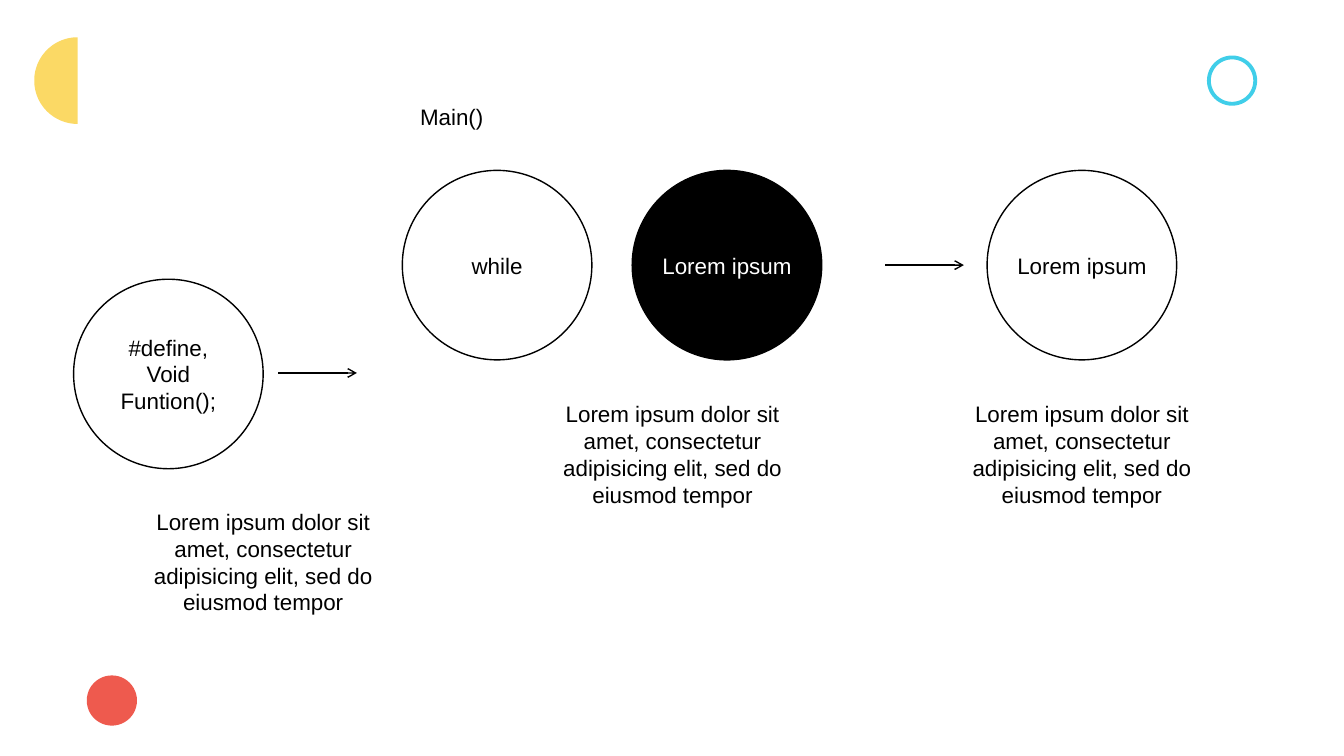
from math import cos, pi, sin

from lxml.etree import SubElement
from pptx import Presentation
from pptx.dml.color import RGBColor
from pptx.enum.shapes import MSO_CONNECTOR, MSO_SHAPE
from pptx.enum.text import MSO_ANCHOR, MSO_AUTO_SIZE, PP_ALIGN
from pptx.oxml.ns import qn
from pptx.util import Inches, Pt

BLACK, WHITE = "000000", "FFFFFF"
YELLOW, RED, CYAN = "FBD965", "EE5A4E", "40CEE9"
LOREM = "Lorem ipsum dolor sit amet, consectetur adipisicing elit, sed do eiusmod tempor"
DIAMETER = 1.88
DOT = 0.46


def rgb(color):
    return RGBColor.from_string(color)


def write(tf, text, font="Arial", size=16, color=BLACK, align=PP_ALIGN.CENTER):
    tf.word_wrap = True
    for i, line in enumerate(text.split("\n")):
        p = tf.paragraphs[0] if i == 0 else tf.add_paragraph()
        p.alignment = align
        r = p.add_run()
        r.text = line
        r.font.name = font
        r.font.size = Pt(size)
        r.font.color.rgb = rgb(color)


class Deck:
    def __init__(self):
        self.prs = Presentation()
        self.prs.slide_width, self.prs.slide_height = Inches(13.33), Inches(7.5)
        self.s = self.prs.slides.add_slide(self.prs.slide_layouts[6])

    def paint(self, sp, fill, line, width):
        sp.shadow.inherit = False
        if fill:
            sp.fill.solid()
            sp.fill.fore_color.rgb = rgb(fill)
        else:
            sp.fill.background()
        if line:
            sp.line.color.rgb = rgb(line)
            sp.line.width = Pt(width)
        else:
            sp.line.fill.background()

    def half_disc(self, x, y, radius, fill, steps=90):
        points = [(Inches(x + radius - radius * sin(pi * i / steps)),
                   Inches(y + radius - radius * cos(pi * i / steps)))
                  for i in range(steps + 1)]
        builder = self.s.shapes.build_freeform(*points[0])
        builder.add_line_segments(points[1:], close=True)
        self.paint(builder.convert_to_shape(), fill, None, 0)

    def circle(self, x, y, size, fill=None, line=BLACK, width=1, text=None, color=BLACK):
        sp = self.s.shapes.add_shape(
            MSO_SHAPE.OVAL, Inches(x), Inches(y), Inches(size), Inches(size))
        self.paint(sp, fill, line, width)
        if text:
            tf = sp.text_frame
            tf.margin_left = tf.margin_right = tf.margin_top = tf.margin_bottom = 0
            tf.vertical_anchor = MSO_ANCHOR.MIDDLE
            write(tf, text, color=color)

    def text(self, x, y, w, h, text):
        tf = self.s.shapes.add_textbox(
            Inches(x), Inches(y), Inches(w), Inches(h)).text_frame
        tf.auto_size = MSO_AUTO_SIZE.SHAPE_TO_FIT_TEXT
        write(tf, text)

    def arrow(self, x, y, length=0.78):
        sp = self.s.shapes.add_connector(
            MSO_CONNECTOR.STRAIGHT, Inches(x), Inches(y), Inches(x + length), Inches(y))
        sp.line.color.rgb = rgb(BLACK)
        sp.line.width = Pt(1)
        SubElement(sp.line._get_or_add_ln(), qn("a:tailEnd"), type="arrow")
        SubElement(sp._element.spPr, qn("a:effectLst"))


def main():
    deck = Deck()
    deck.half_disc(0.34, 0.37, 0.43, YELLOW)
    deck.circle(0.88, 6.72, DOT, fill=RED, line=RED, width=2.75)
    deck.circle(11.99, 0.57, DOT, line=CYAN, width=2.75)

    deck.text(3.54, 0.97, 1.88, 0.37, "Main()")
    for x, y, label, fill, color in (
        (0.73, 2.77, "#define,\nVoid Funtion();", None, BLACK),
        (3.99, 1.69, "while", None, BLACK),
        (6.27, 1.69, "Lorem ipsum", BLACK, WHITE),
        (9.79, 1.69, "Lorem ipsum", None, BLACK),
    ):
        deck.circle(x, y, DIAMETER, fill=fill, text=label, color=color)
    for x, y in ((2.76, 3.7), (8.78, 2.63)):
        deck.arrow(x, y)
    for x, y in ((1.22, 4.99), (5.28, 3.92), (9.34, 3.92)):
        deck.text(x, y, 2.78, 1.18, LOREM)

    deck.prs.save("out.pptx")


if __name__ == "__main__":
    main()
